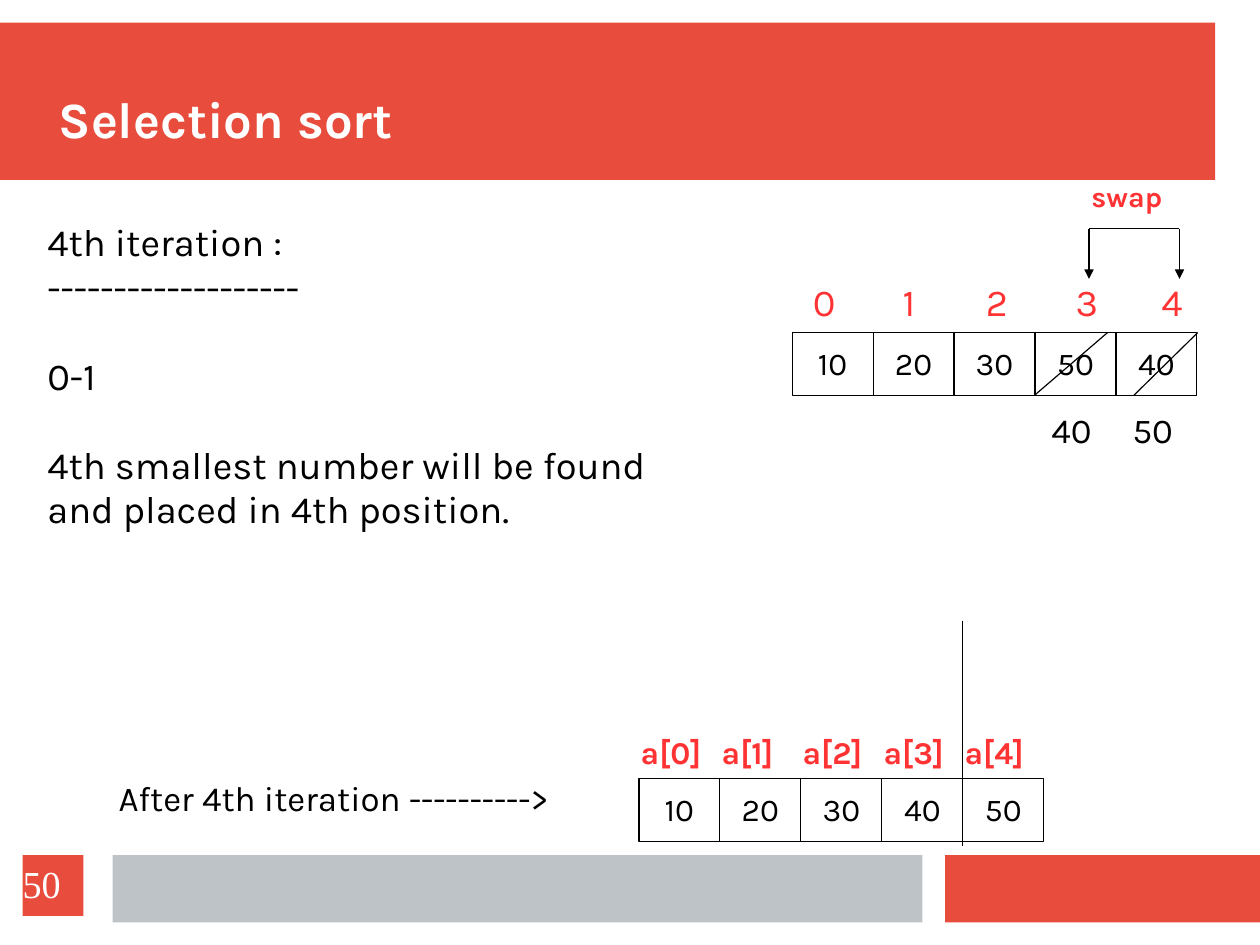
import pptx
import pptx.util
import pptx.dml.color
import pptx.enum.shapes
import pptx.enum.text
import pptx.oxml.ns
import lxml.etree

Pt = pptx.util.Pt
ALIGN = pptx.enum.text.PP_ALIGN
ANCHOR = pptx.enum.text.MSO_ANCHOR
RED, GREY, LABEL, BLACK, WHITE = "E74C3C", "BDC3C7", "FF3333", "000000", "FFFFFF"

# Content: boxes are (left, top, width, height)
BANDS = [((0, 14.2, 765.5, 99.2), RED),
         ((595.3, 538.6, 198.4, 42.5), RED),
         ((70.9, 538.6, 510.2, 42.5), GREY)]
BODY = [("4th iteration :", 0), ("-------------------", 0), ("0-1", 28),
        ("4th smallest number will be found", 28),
        ("and placed in 4th position.", 0)]  # text, space before
BEFORE = ["10", "20", "30", "50", "40"]
AFTER = ["10", "20", "30", "40", "50"]
INDEX_LEFTS = [505, 561.5, 614, 670.5, 724.5]
SWAPPED = [("40", 655.2), ("50", 706.3)]
CELL_W, CELL_H = 51, 39.5
BEFORE_LEFT, BEFORE_TOP = 499, 209.5
AFTER_LEFT, AFTER_TOP = 402.5, 490.5
SWAP_X, SWAP_TOP, SWAP_TIP = (686, 743), 144, 175.7
LINES = [((606.5, 391), (606.5, 533)),
         ((697.7, 209.5), (651.7, 249)),
         ((754.5, 209.5), (714.3, 249))]

prs = pptx.Presentation()
prs.slide_width, prs.slide_height = Pt(793.7), Pt(595.3)
s = prs.slides.add_slide(prs.slide_layouts[6])


def rgb(value):
    return pptx.dml.color.RGBColor.from_string(value)


def write(sp, paragraphs, size, color=BLACK, bold=False, font="Karla",
          align=ALIGN.LEFT, anchor=ANCHOR.TOP, inset=(7.2, 3.6)):
    tf = sp.text_frame
    x, y = (Pt(v) for v in inset)
    frame = dict(word_wrap=True, vertical_anchor=anchor, margin_left=x,
                 margin_right=x, margin_top=y, margin_bottom=y)
    for name, value in frame.items():
        setattr(tf, name, value)
    for i, (text, gap) in enumerate(paragraphs):
        p = tf.add_paragraph() if i else tf.paragraphs[0]
        p.alignment, p.line_spacing = align, 0.97
        if gap:
            p.space_before = Pt(gap)
        r = p.add_run()
        r.text = text
        for name, value in dict(name=font, size=Pt(size), bold=bold).items():
            setattr(r.font, name, value)
        r.font.color.rgb = rgb(color)


def label(box, text, size, **style):
    write(s.shapes.add_textbox(*map(Pt, box)), [(text, 0)], size, **style)


def rect(box, fill, line=None):
    sp = s.shapes.add_shape(pptx.enum.shapes.MSO_SHAPE.RECTANGLE, *map(Pt, box))
    sp.shadow.inherit = False
    sp.fill.solid()
    sp.fill.fore_color.rgb = rgb(fill)
    if line:
        sp.line.color.rgb, sp.line.width = rgb(line), Pt(0.75)
    else:
        sp.line.fill.background()
    return sp


def connect(start, end, arrow=False):
    c = s.shapes.add_connector(pptx.enum.shapes.MSO_CONNECTOR.STRAIGHT,
                               *map(Pt, start + end))
    c.line.color.rgb, c.line.width = rgb(BLACK), Pt(0.75)
    qn = pptx.oxml.ns.qn
    spPr = c._element.spPr
    if arrow:
        lxml.etree.SubElement(spPr.find(qn("a:ln")), qn("a:tailEnd"), type="triangle")
    lxml.etree.SubElement(spPr, qn("a:effectLst"))


def array_row(values, left, top):
    for i, value in enumerate(values):
        sp = rect((left + i * CELL_W, top, CELL_W, CELL_H), WHITE, BLACK)
        write(sp, [(value, 0)], 20, align=ALIGN.CENTER, anchor=ANCHOR.MIDDLE)


# Bands, title and page number
for box, fill in BANDS:
    rect(box, fill)
label((37, 28, 725, 67), "Selection sort", 32, color=WHITE, bold=True,
      anchor=ANCHOR.BOTTOM, inset=(0, 0))
write(rect((14.2, 538.6, 38.3, 38.3), RED), [("50", 0)], 24, color=WHITE,
      font="Times New Roman", anchor=ANCHOR.MIDDLE, inset=(0, 0))

# Explanation
write(s.shapes.add_textbox(*map(Pt, (22.7, 136, 414, 204))), BODY, 24)

# Array before the swap
array_row(BEFORE, BEFORE_LEFT, BEFORE_TOP)
for i, left in enumerate(INDEX_LEFTS):
    label((left, 173.5, 29.5, 36), str(i), 24, color=LABEL)
for text, left in SWAPPED:
    label((left, 255.6, 42.5, 34), text, 22)

# Swap bracket
label((680.4, 110.2, 66.2, 29), "swap", 18, color=LABEL, bold=True)
connect((SWAP_X[0], SWAP_TOP), (SWAP_X[1], SWAP_TOP))
for x in SWAP_X:
    connect((x, SWAP_TOP), (x, SWAP_TIP), arrow=True)

# Array after the iteration
label((67.7, 487.4, 315, 34), "After 4th iteration ---------->", 22)
array_row(AFTER, AFTER_LEFT, AFTER_TOP)
for i in range(len(AFTER)):
    label((AFTER_LEFT - 6 + i * CELL_W, 459.4, 60, 31), f"a[{i}]", 20,
          color=LABEL, bold=True)

# Divider and strike-through lines
for start, end in LINES:
    connect(start, end)

prs.save("out.pptx")
